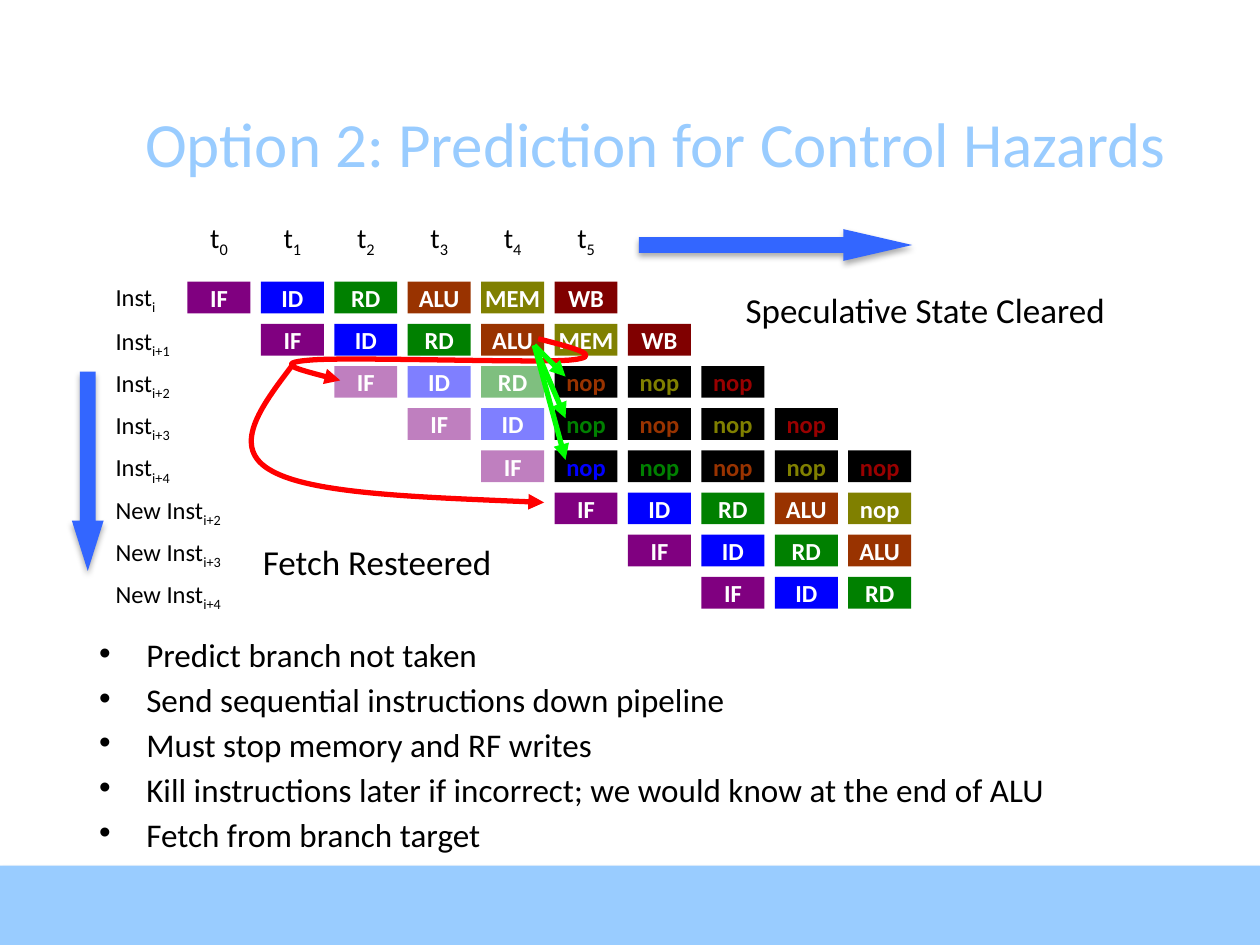
from lxml import etree
from pptx import Presentation
from pptx.dml.color import RGBColor
from pptx.enum.shapes import MSO_CONNECTOR, MSO_SHAPE
from pptx.enum.text import MSO_ANCHOR, PP_ALIGN
from pptx.oxml.ns import qn
from pptx.util import Cm, Pt

RECT, RIGHT, DOWN = MSO_SHAPE.RECTANGLE, MSO_SHAPE.RIGHT_ARROW, MSO_SHAPE.DOWN_ARROW
STRAIGHT = MSO_CONNECTOR.STRAIGHT
LEFT, CENTER = PP_ALIGN.LEFT, PP_ALIGN.CENTER
TOP, MIDDLE = MSO_ANCHOR.TOP, MSO_ANCHOR.MIDDLE

# Content
TITLE = "Option 2: Prediction for Control Hazards"
BULLETS = [
    "Predict branch not taken",
    "Send sequential instructions down pipeline",
    "Must stop memory and RF writes",
    "Kill instructions later if incorrect; we would know at the end of ALU",
    "Fetch from branch target",
]
# Fill of each pipeline stage, IF to WB
STAGE_COLORS = ["800080", "0000FF", "008000", "993300", "808000", "800000"]
# Name, subscript, label width, first column, speculative stages, cells
ROWS = [
    ("Inst", "i", 1.37, 0, 0, "IF ID RD ALU MEM WB"),
    ("Inst", "i+1", 2.11, 1, 0, "IF ID RD ALU MEM WB"),
    ("Inst", "i+2", 2.34, 2, 3, "IF ID RD nop nop nop"),
    ("Inst", "i+3", 2.34, 3, 2, "IF ID nop nop nop nop"),
    ("Inst", "i+4", 2.54, 4, 1, "IF nop nop nop nop nop"),
    ("New Inst", "i+2", 2.97, 5, 0, "IF ID RD ALU nop"),
    ("New Inst", "i+3", 2.97, 6, 0, "IF ID RD ALU"),
    ("New Inst", "i+4", 2.97, 7, 0, "IF ID RD"),
]
NOTES = [("Speculative State Cleared", 14.78, 5.69, 7.75),
         ("Fetch Resteered", 5.05, 10.77, 5.23)]
BLOCK_ARROWS = [(RIGHT, 12.88, 4.62, 5.51, 0.64, 2.17),
                (DOWN, 1.45, 7.49, 0.64, 4.02, 1.58)]
# Bezier curves: start, then three points for each section
FORWARD_CURVE = [(10.85, 6.83), (11.56, 7.01), (12.24, 7.19), (11.48, 7.26),
                 (10.72, 7.32), (7.01, 7.19), (6.25, 7.26),
                 (5.49, 7.32), (6.17, 7.49), (6.86, 7.67)]
RESTEER_CURVE = [(5.89, 7.37), (5.26, 8.2), (4.62, 9.04), (5.49, 9.5),
                 (6.32, 9.96), (8.66, 10.03), (10.97, 10.13)]

# Grid, in centimetres
X0, Y0, DX, DY, CELL_W, CELL_H = 3.78, 5.68, 1.48, 0.85, 1.27, 0.64
KILL_COLUMN = 5

prs = Presentation()
prs.slide_width, prs.slide_height = Cm(25.4), Cm(19.05)
s = prs.slides.add_slide(prs.slide_layouts[6])


def rgb(value):
    return RGBColor.from_string(value)


def add_run(p, text, size=14, color="000000", bold=False, sub=False):
    r = p.add_run()
    r.text = text
    r.font.name, r.font.size, r.font.bold = "Calibri", Pt(size), bold
    r.font.color.rgb = rgb(color)
    if sub:
        r.font._element.set("baseline", "-25000")


def add_text(x, y, w, h, text, sub="", align=LEFT, anchor=TOP, wrap=True,
             pad=0.13, **font):
    tf = s.shapes.add_textbox(Cm(x), Cm(y), Cm(w), Cm(h)).text_frame
    tf.word_wrap, tf.vertical_anchor = wrap, anchor
    tf.margin_top = tf.margin_bottom = Cm(pad)
    p = tf.paragraphs[0]
    p.alignment = align
    add_run(p, text, **font)
    if sub:
        add_run(p, sub, sub=True, **font)
    return tf


def add_block(kind, x, y, w, h, color, alpha=100):
    sp = s.shapes.add_shape(kind, Cm(x), Cm(y), Cm(w), Cm(h))
    sp.shadow.inherit = False
    sp.fill.solid()
    sp.fill.fore_color.rgb = rgb(color)
    sp.line.fill.background()
    if alpha < 100:
        clr = sp._element.xpath("./p:spPr/a:solidFill/a:srgbClr")[0]
        etree.SubElement(clr, qn("a:alpha"), val=str(alpha * 1000))
    return sp


def add_shadow(sp, alpha, blur, dist):
    effects = sp._element.xpath("./p:spPr/a:effectLst")[0]
    shadow = etree.SubElement(effects, qn("a:outerShdw"), blurRad=str(Pt(blur)),
                              dist=str(Pt(dist)), dir="5400000", rotWithShape="0")
    clr = etree.SubElement(shadow, qn("a:srgbClr"), val="000000")
    etree.SubElement(clr, qn("a:alpha"), val=str(alpha * 1000))


def style_arrow(sp, color):
    sp.line.color.rgb, sp.line.width = rgb(color), Pt(3)
    ln = sp._element.xpath("./p:spPr/a:ln")[0]
    etree.SubElement(ln, qn("a:tailEnd"), type="triangle")


def add_curve(points):
    start, *rest = [(Cm(x), Cm(y)) for x, y in points]
    builder = s.shapes.build_freeform(*start)
    builder.add_line_segments(rest, close=False)
    sp = builder.convert_to_shape()
    sp.shadow.inherit = False
    sp.fill.background()
    # Join every three straight sections into one Bezier section
    lines = sp._element.xpath(".//a:lnTo")
    outline = lines[0].getparent()
    for i in range(0, len(lines), 3):
        bezier = etree.SubElement(outline, qn("a:cubicBezTo"))
        for line in lines[i:i + 3]:
            bezier.append(line[0])
            outline.remove(line)
    style_arrow(sp, "FF0000")


def add_cell(row, col, text, fill, color, alpha):
    sp = add_block(RECT, X0 + col * DX, Y0 + row * DY, CELL_W, CELL_H, fill, alpha)
    tf = sp.text_frame
    tf.word_wrap, tf.vertical_anchor = False, MIDDLE
    p = tf.paragraphs[0]
    p.alignment = CENTER
    add_run(p, text, color=color, bold=True)


# Footer band and title
add_shadow(add_block(RECT, 0, 17.45, 25.4, 1.6, "99CCFF"), 35, 3.1, 1.8)
add_text(1.75, 1.88, 22.94, 1.96, TITLE, align=CENTER, anchor=MIDDLE,
         size=36, color="99CCFF")

# Bullets
tf = add_text(1.75, 12.95, 21.89, 4.55, BULLETS[0], size=18.9)
for text in BULLETS[1:]:
    p = tf.add_paragraph()
    p.space_before = Pt(12)
    add_run(p, text, size=18.9)
for p in tf.paragraphs:
    p.line_spacing = 0.6
    pPr = p._p.get_or_add_pPr()
    pPr.set("marL", str(Cm(0.95)))
    pPr.set("indent", str(-Cm(0.95)))
    etree.SubElement(pPr, qn("a:buFont"), typeface="Arial")
    etree.SubElement(pPr, qn("a:buChar"), char="•")

# Time steps and row labels
for col in range(6):
    add_text(X0 + col * DX, 4.32, CELL_W, 0.94, "t", sub=str(col),
             align=CENTER, size=16)
for row, (name, sub, width, *_) in enumerate(ROWS):
    add_text(2.08, Y0 + row * DY + 0.04 * (row > 0), width, 0.61, name,
             sub=sub, pad=0)

# Pipeline cells; the first killed stage of each row lies over the curve
cells, killed = [], []
for row, (_, _, _, first, speculative, texts) in enumerate(ROWS):
    for stage, text in enumerate(texts.split()):
        col, color = first + stage, STAGE_COLORS[stage]
        if speculative and stage >= speculative:
            ink = "990000" if stage == 5 else color
            group = killed if col == KILL_COLUMN else cells
            group.append((row, col, text, "000000", ink, 100))
        else:
            cells.append((row, col, text, color, "FFFFFF", 50 if speculative else 100))
for cell in cells:
    add_cell(*cell)
add_curve(FORWARD_CURVE)
for cell in killed:
    add_cell(*cell)

# Kill arrows from the ALU stage
for i in range(len(killed)):
    line = s.shapes.add_connector(STRAIGHT, Cm(10.77), Cm(6.96),
                                  Cm(11.4), Cm(7.59 + 0.84 * i))
    style_arrow(line, "00FF00")
    etree.SubElement(line._element.spPr, qn("a:effectLst"))

# Resteer curve, notes and direction arrows
add_curve(RESTEER_CURVE)
for text, x, y, w in NOTES:
    add_text(x, y, w, 1.1, text, wrap=False, size=20)
for kind, x, y, w, h, head in BLOCK_ARROWS:
    sp = add_block(kind, x, y, w, h, "3366FF")
    sp.adjustments[0], sp.adjustments[1] = 0.5, head
    add_shadow(sp, 32, 3.5, 2.2)

prs.save("out.pptx")
